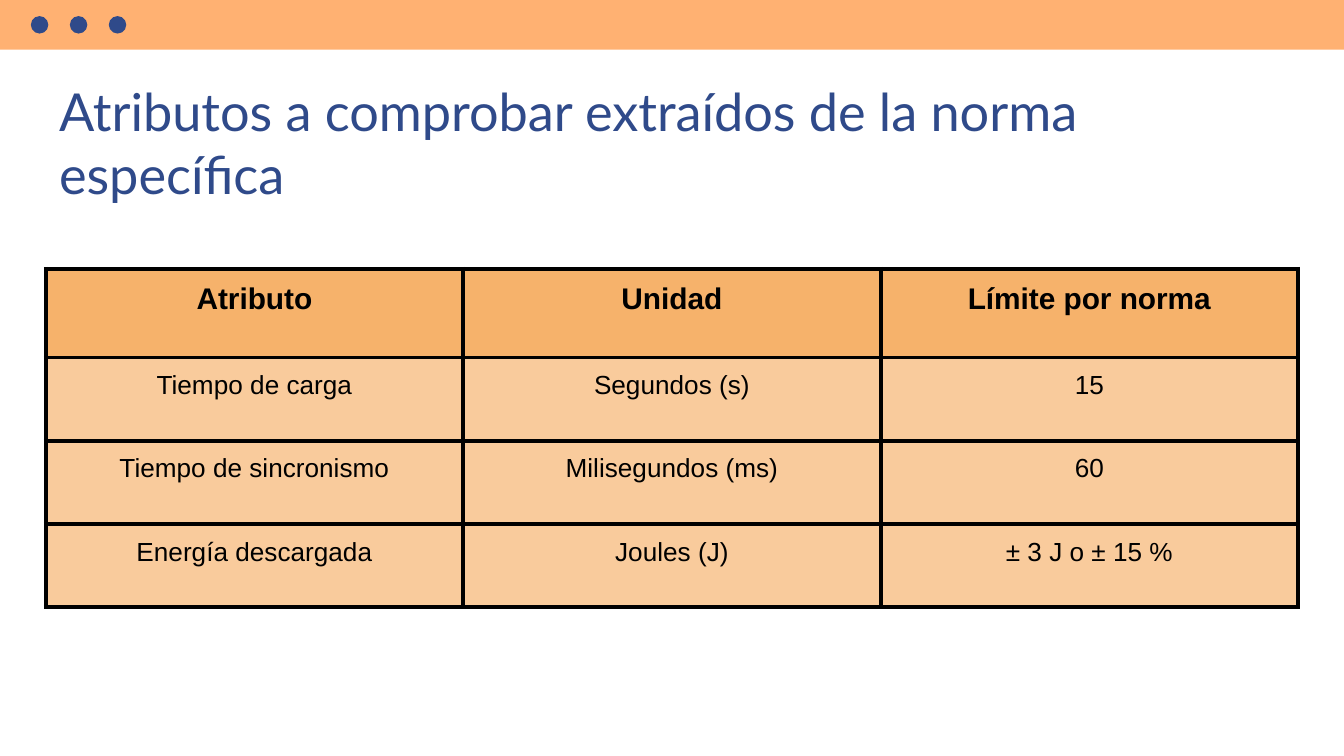
from lxml.etree import SubElement
from pptx import Presentation
from pptx.dml.color import RGBColor
from pptx.enum.shapes import MSO_SHAPE as Shape
from pptx.enum.text import MSO_ANCHOR as Anchor, MSO_AUTO_SIZE as AutoSize, PP_ALIGN as Align
from pptx.oxml.ns import qn
from pptx.util import Inches, Pt

NAVY = RGBColor(0x2F, 0x4A, 0x8A)
PEACH = RGBColor(0xFF, 0xB1, 0x72)
HEADER_ORANGE = RGBColor(0xF6, 0xB2, 0x6B)
BODY_ORANGE = RGBColor(0xF9, 0xCB, 0x9C)
BLACK = RGBColor(0, 0, 0)

SLIDE_WIDTH = 10
SLIDE_HEIGHT = SLIDE_WIDTH * 9 / 16

ROWS = [
    ("Atributo", "Unidad", "Límite por norma"),
    ("Tiempo de carga", "Segundos (s)", "15"),
    ("Tiempo de sincronismo", "Milisegundos (ms)", "60"),
    ("Energía descargada", "Joules (J)", "± 3 J o ± 15 %"),
]


def write_text(frame, text, *, font, size, color, bold=False, align=Align.LEFT):
    """Write one formatted paragraph into a text frame."""
    paragraph = frame.paragraphs[0]
    paragraph.alignment = align
    run = paragraph.add_run()
    run.text = text
    run.font.name = font
    run.font.size = Pt(size)
    run.font.bold = bold
    run.font.color.rgb = color


class SlideBuilder:
    """Hold the style and the current slide, and add its elements."""

    title_font = "Lato"
    table_font = "Arial"
    inset = Inches(0.1)
    border_width = Pt(2.25)

    def __init__(self, slide):
        self.slide = slide

    def add_shape(self, kind, left, top, width, height, color):
        shape = self.slide.shapes.add_shape(
            kind, Inches(left), Inches(top), Inches(width), Inches(height))
        shape.shadow.inherit = False
        shape.fill.solid()
        shape.fill.fore_color.rgb = color
        shape.line.fill.background()

    def add_title(self, text, left, top, width, height):
        title = self.slide.shapes.title
        title.left, title.top = Inches(left), Inches(top)
        title.width, title.height = Inches(width), Inches(height)
        frame = title.text_frame
        frame.word_wrap = True
        frame.auto_size = AutoSize.NONE
        frame.vertical_anchor = Anchor.TOP
        frame.margin_left = frame.margin_right = self.inset
        frame.margin_top = frame.margin_bottom = self.inset
        write_text(frame, text, font=self.title_font, size=28, color=NAVY)

    def add_borders(self, cell):
        properties = cell._tc.get_or_add_tcPr()
        for side in ("a:lnL", "a:lnR", "a:lnT", "a:lnB"):
            line = SubElement(properties, qn(side), w=str(self.border_width))
            fill = SubElement(line, qn("a:solidFill"))
            SubElement(fill, qn("a:srgbClr"), val=str(BLACK))

    def fill_cell(self, cell, text, is_header):
        cell.margin_left = cell.margin_right = self.inset
        cell.margin_top = cell.margin_bottom = self.inset
        self.add_borders(cell)
        cell.fill.solid()
        cell.fill.fore_color.rgb = HEADER_ORANGE if is_header else BODY_ORANGE
        write_text(cell.text_frame, text, font=self.table_font, size=16 if is_header else 14,
                   color=BLACK, bold=is_header, align=Align.CENTER)

    def add_table(self, rows, left, top, width, header_height, row_height):
        columns = len(rows[0])
        height = header_height + row_height * (len(rows) - 1)
        table = self.slide.shapes.add_table(
            len(rows), columns, Inches(left), Inches(top),
            Inches(width), Inches(height)).table
        for row_index, texts in enumerate(rows):
            is_header = row_index == 0
            table.rows[row_index].height = Inches(header_height if is_header else row_height)
            for column_index, text in enumerate(texts):
                self.fill_cell(table.cell(row_index, column_index), text, is_header)


def main():
    presentation = Presentation()
    presentation.slide_width = Inches(SLIDE_WIDTH)
    presentation.slide_height = Inches(SLIDE_HEIGHT)
    slide = presentation.slides.add_slide(presentation.slide_layouts[5])
    builder = SlideBuilder(slide)
    builder.add_shape(Shape.RECTANGLE, 0, 0, SLIDE_WIDTH, 0.37, PEACH)
    for index in range(3):
        builder.add_shape(Shape.OVAL, 0.23 + 0.29 * index, 0.12, 0.13, 0.13, NAVY)
    builder.add_title("Atributos a comprobar extraídos de la norma específica",
                      0.34, 0.49, 9.32, 0.63)
    builder.add_table(ROWS, 0.34, 2, 9.32, 0.66, 0.62)
    presentation.save("out.pptx")


if __name__ == "__main__":
    main()
